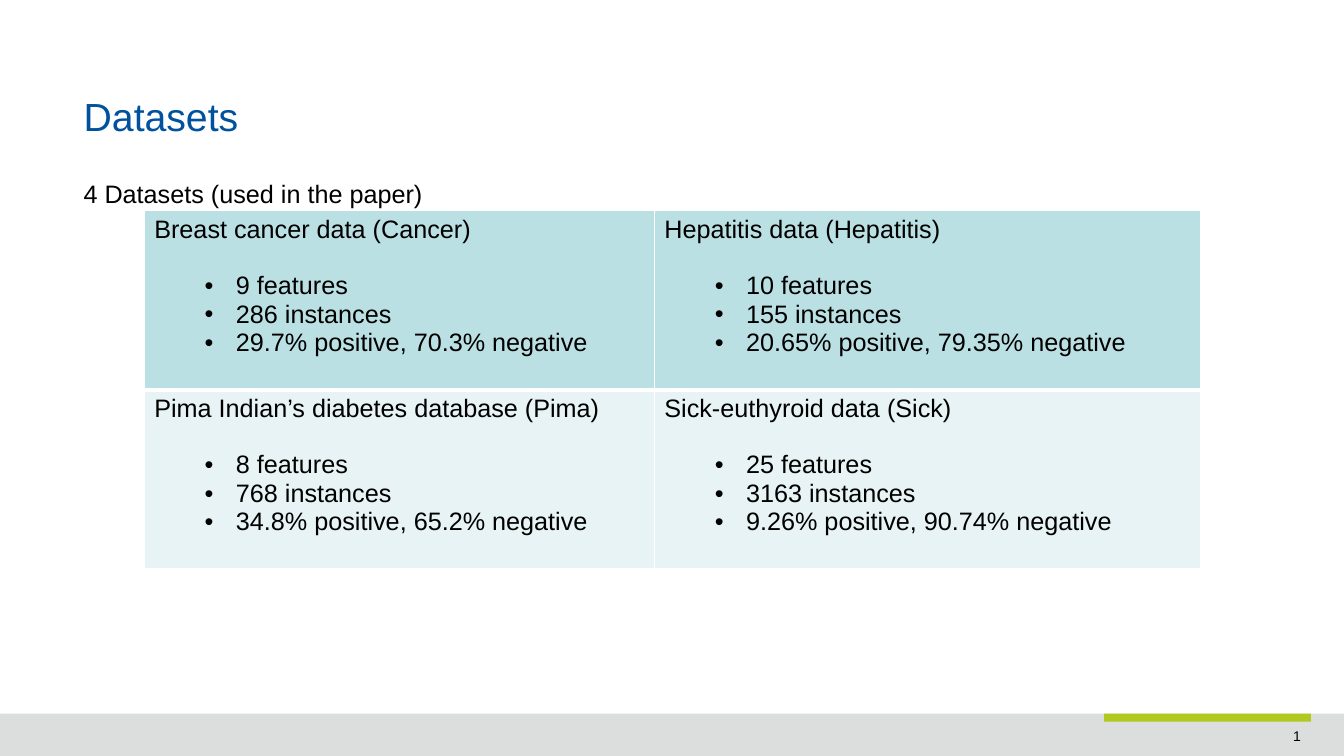
from dataclasses import dataclass
from typing import NamedTuple

from lxml.etree import SubElement
from pptx import Presentation
from pptx.dml.color import RGBColor as RGB
from pptx.enum.shapes import MSO_SHAPE as Shape
from pptx.enum.text import MSO_ANCHOR as Anchor, MSO_AUTO_SIZE as AutoSize, PP_ALIGN as Align
from pptx.oxml.ns import qn
from pptx.util import Emu, Inches, Pt


@dataclass(frozen=True)
class Theme:
    """Colours, font and type sizes of the slide."""
    font: str = "Arial"
    title: str = "00519E"
    text: str = "000000"
    bar: str = "DCDEDE"
    accent: str = "B1C91F"
    border: str = "FFFFFF"
    rows: tuple = ("BBE0E3", "E7F3F4")
    title_size: int = 28
    body_size: int = 18
    number_size: int = 10


class Box(NamedTuple):
    """A rectangle in EMU."""
    left: int
    top: int
    width: int
    height: int

    def inner(self, left, top, width, height):
        """Return an inner box given as percentages of this one."""
        return Box(Emu(round(self.left + self.width * left / 100)),
                   Emu(round(self.top + self.height * top / 100)),
                   Emu(round(self.width * width / 100)),
                   Emu(round(self.height * height / 100)))


THEME = Theme()
DATASETS = [
    [("Breast cancer data (Cancer)",
      ["9 features", "286 instances", "29.7% positive, 70.3% negative"]),
     ("Hepatitis data (Hepatitis)",
      ["10 features", "155 instances", "20.65% positive, 79.35% negative"])],
    [("Pima Indian’s diabetes database (Pima)",
      ["8 features", "768 instances", "34.8% positive, 65.2% negative"]),
     ("Sick-euthyroid data (Sick)",
      ["25 features", "3163 instances", "9.26% positive, 90.74% negative"])],
]


def set_all(target, values):
    """Set every attribute named in a dict of format values."""
    for name, value in values.items():
        setattr(target, name, value)


def write(p, text, size, color=THEME.text, **paragraph_format):
    """Fill a paragraph with one formatted run."""
    set_all(p, paragraph_format)
    r = p.add_run()
    r.text = text
    set_all(r.font, {"name": THEME.font, "size": Pt(size)})
    r.font.color.rgb = RGB.from_string(color)
    return r


def add_bar(s, box, color):
    """Add a plain filled rectangle."""
    sp = s.shapes.add_shape(Shape.RECTANGLE, *box)
    sp.shadow.inherit = False
    sp.fill.solid()
    sp.fill.fore_color.rgb = RGB.from_string(color)
    sp.line.fill.background()


def add_footer(s, box):
    """Add the footer bar with its accent and the slide number."""
    add_bar(s, box, THEME.bar)
    add_bar(s, box.inner(82.15, 0, 15.38, 19), THEME.accent)
    tf = s.shapes.add_textbox(*box.inner(77.94, 21.4, 19.58, 78.6)).text_frame
    tf.word_wrap = True
    p = tf.paragraphs[0]
    r = write(p, "6", THEME.number_size, alignment=Align.RIGHT)._r
    r.tag = qn("a:fld")
    r.set("id", "{B6F15528-21DE-4FAA-801E-634DDDAF4B2B}")
    r.set("type", "slidenum")


def add_title(s, box):
    """Place and fill the title placeholder."""
    sp = s.shapes.title
    set_all(sp, box._asdict())
    tf = sp.text_frame
    set_all(tf, {"word_wrap": True, "auto_size": AutoSize.NONE,
                 "vertical_anchor": Anchor.TOP, "margin_top": Inches(0.1)})
    write(tf.paragraphs[0], "Datasets", THEME.title_size, THEME.title,
          alignment=Align.LEFT, line_spacing=0.8)


def add_intro(s, box):
    """Add the line that introduces the table."""
    tf = s.shapes.add_textbox(*box).text_frame
    set_all(tf, {"word_wrap": False, "auto_size": AutoSize.SHAPE_TO_FIT_TEXT})
    write(tf.paragraphs[0], "4 Datasets (used in the paper)",
          THEME.body_size, line_spacing=1.5)


def add_bullet(p):
    """Give a paragraph a hanging bullet."""
    pPr = p._p.get_or_add_pPr()
    pPr.set("marL", str(Inches(0.81)))
    pPr.set("indent", str(Inches(-0.31)))
    SubElement(pPr, qn("a:buFont"), typeface=THEME.font)
    SubElement(pPr, qn("a:buChar"), char="•")


def style_cell(cell, fill, bottom, top):
    """Set the borders and fill of a table cell."""
    tcPr = cell._tc.get_or_add_tcPr()
    for side, width in {"L": 1, "R": 1, "T": top, "B": bottom}.items():
        ln = SubElement(tcPr, qn(f"a:ln{side}"), w=str(Pt(width)))
        SubElement(SubElement(ln, qn("a:solidFill")), qn("a:srgbClr"), val=THEME.border)
    cell.fill.solid()
    cell.fill.fore_color.rgb = RGB.from_string(fill)


def fill_cell(cell, name, facts):
    """Write a dataset's name and its bulleted facts."""
    tf = cell.text_frame
    write(tf.paragraphs[0], name, THEME.body_size, space_after=Pt(20))
    for fact in facts:
        p = tf.add_paragraph()
        write(p, fact, THEME.body_size, level=1)
        add_bullet(p)


def add_datasets(s, box):
    """Add the table with one dataset in each cell."""
    count = len(DATASETS)
    table = s.shapes.add_table(count, len(DATASETS[0]), *box).table
    set_all(table, {"first_row": False, "horz_banding": False})
    for column, share in zip(table.columns, (48.28, 51.72)):
        column.width = box.inner(0, 0, share, 0).width
    for i, (row, fill) in enumerate(zip(DATASETS, THEME.rows)):
        table.rows[i].height = Emu(box.height // count)
        for j, (name, facts) in enumerate(row):
            cell = table.cell(i, j)
            style_cell(cell, fill, bottom=1 if i else 3, top=3 if i else 1)
            fill_cell(cell, name, facts)


def add_datasets_slide(prs):
    """Build the slide from its regions."""
    s = prs.slides.add_slide(prs.slide_layouts[5])
    page = Box(0, 0, prs.slide_width, prs.slide_height)
    add_footer(s, page.inner(0, 94.4, 100, 5.6))
    add_title(s, page.inner(5.48, 12.13, 92.05, 12.13))
    add_datasets(s, page.inner(10.73, 27.87, 78.62, 47.4))
    add_intro(s, page.inner(5.48, 20.93, 27, 6.67))


def main():
    """Create and save the presentation."""
    prs = Presentation()
    set_all(prs, {"slide_width": Inches(13.33), "slide_height": Inches(7.5)})
    add_datasets_slide(prs)
    prs.save("out.pptx")


if __name__ == "__main__":
    main()
